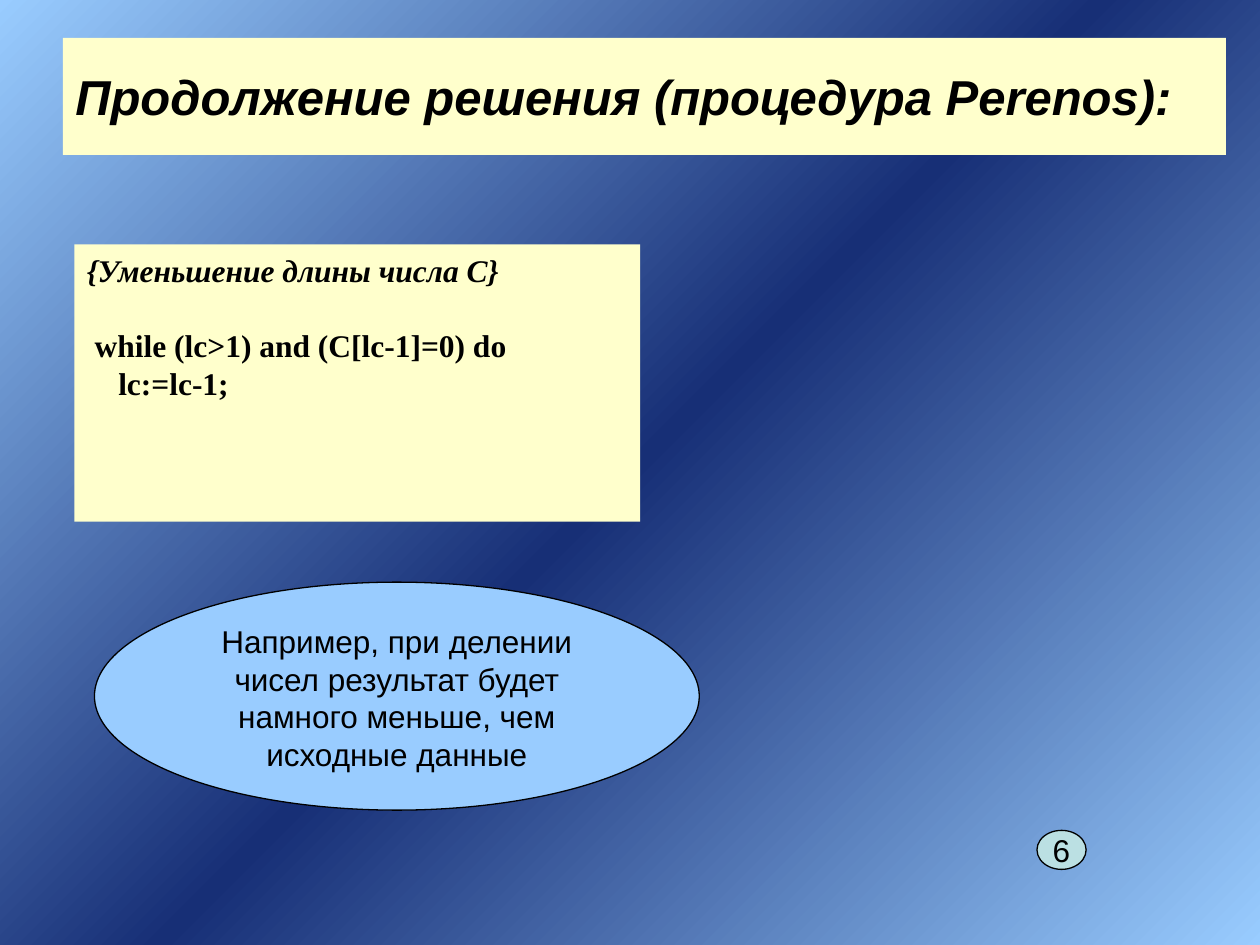
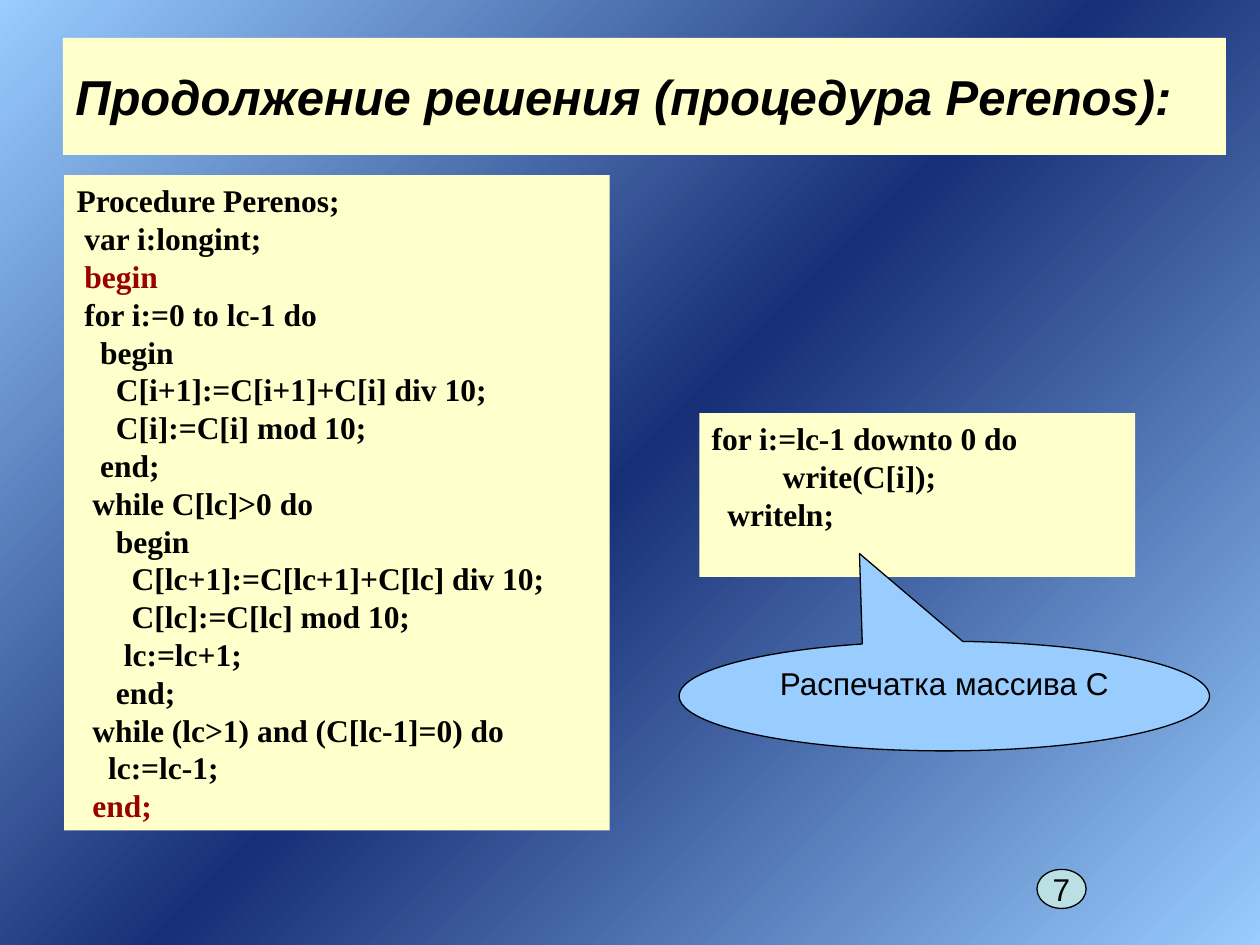
"""Build two slides on the Perenos procedure, with code panels and side remarks."""
from copy import deepcopy
from dataclasses import dataclass

from pptx import Presentation
from pptx.dml.color import RGBColor
from pptx.enum.shapes import MSO_SHAPE
from pptx.enum.text import MSO_ANCHOR, PP_ALIGN
from pptx.oxml.ns import qn
from pptx.util import Inches, Pt

TITLE = "Продолжение решения (процедура Perenos):"
TRIM = [
    (0, "{Уменьшение длины числа С}", "note"),
    (1, "while (lc>1) and (C[lc-1]=0) do", "gap"),
    (4, "lc:=lc-1;", ""),
]
CARRY = [
    (0, "Procedure Perenos;", ""),
    (1, "var i:longint;", ""),
    (1, "begin", "mark"),
    (1, "for i:=0 to lc-1 do", ""),
    (3, "begin", ""),
    (5, "C[i+1]:=C[i+1]+C[i] div 10;", ""),
    (5, "C[i]:=C[i] mod 10;", ""),
    (3, "end;", ""),
    (2, "while C[lc]>0 do", ""),
    (5, "begin", ""),
    (7, "C[lc+1]:=C[lc+1]+C[lc] div 10;", ""),
    (7, "C[lc]:=C[lc] mod 10;", ""),
    (6, "lc:=lc+1;", ""),
    (5, "end;", ""),
    (2, "while (lc>1) and (C[lc-1]=0) do", ""),
    (4, "lc:=lc-1;", ""),
    (2, "end;", "mark"),
]
PRINT = [
    (0, "for i:=lc-1 downto 0 do", ""),
    (9, "write(С[i]);", ""),
    (2, "writeln;", ""),
]
SLIDES = [
    {
        "code": [(TRIM, (5.9, 19.4, 44.9, 22))],
        "remark": ("Например, при делении чисел результат будет намного меньше, чем исходные данные",
                   MSO_SHAPE.OVAL, (7.5, 46.2, 48, 18.1), ()),
        "page": ("6", 65.9),
    },
    {
        "code": [(PRINT, (55.5, 32.8, 34.6, 13)), (CARRY, (5.1, 13.9, 43.3, 52))],
        "remark": ("Распечатка массива С", MSO_SHAPE.OVAL_CALLOUT,
                   (53.9, 50.9, 42.1, 8.7), (-0.16, -1.3)),
        "page": ("7", 69),
    },
]


@dataclass(frozen=True)
class Theme:
    """Colours, fonts and sizes of the deck."""
    sky: str = "99CCFF"
    navy: str = "172F76"
    cream: str = "FFFFCC"
    mint: str = "BBE0E3"
    ink: str = "000000"
    mark: str = "990000"
    sans: str = "Arial"
    serif: str = "Times New Roman"
    head: float = 28
    body: float = 18
    pitch: float = 21.6
    step: float = 4.5
    edge: float = 0.75


LOOK = Theme()
WIDTH, HEIGHT = Inches(10), Inches(7.5)
COLS, ROWS = 100, 75
HEAD = (5, 3, 92.3, 9.3)
BADGE = (82.3, 3.9, 3.1)


def tint(code):
    """Turn a hex code into a colour."""
    return RGBColor.from_string(code)


def place(cell):
    """Turn grid columns and rows into slide lengths."""
    left, top, wide, high = cell
    return (int(left * WIDTH / COLS), int(top * HEIGHT / ROWS),
            int(wide * WIDTH / COLS), int(high * HEIGHT / ROWS))


def panel(slide, kind, cell, fill, edge=False):
    """Add a flat filled shape."""
    shape = slide.shapes.add_shape(kind, *place(cell))
    shape.shadow.inherit = False
    shape.fill.solid()
    shape.fill.fore_color.rgb = tint(fill)
    if edge:
        shape.line.color.rgb = tint(LOOK.ink)
        shape.line.width = Pt(LOOK.edge)
    else:
        shape.line.fill.background()
    shape.text_frame.word_wrap = True
    shape.text_frame.vertical_anchor = MSO_ANCHOR.TOP
    return shape


def style(para, face, size, bold=False, slant=False, color=LOOK.ink):
    """Set the font of every run in a paragraph."""
    for run in para.runs:
        font = run.font
        font.name, font.size = face, Pt(size)
        font.bold, font.italic = bold, slant
        font.color.rgb = tint(color)


def title(slide):
    """Add the title band."""
    frame = panel(slide, MSO_SHAPE.RECTANGLE, HEAD, LOOK.cream).text_frame
    frame.text = TITLE
    frame.vertical_anchor = MSO_ANCHOR.MIDDLE
    frame.paragraphs[0].alignment = PP_ALIGN.LEFT
    style(frame.paragraphs[0], LOOK.sans, LOOK.head, True, True)


def code(slide, lines, cell):
    """Add a panel of indented program lines."""
    frame = panel(slide, MSO_SHAPE.RECTANGLE, cell, LOOK.cream).text_frame
    frame.text = "\n".join(text for _, text, _ in lines)
    for para, (depth, _, role) in zip(frame.paragraphs, lines):
        para.alignment = PP_ALIGN.LEFT
        para.line_spacing = Pt(LOOK.pitch)
        para.space_before = Pt(LOOK.pitch if role == "gap" else 0)
        props = para._p.get_or_add_pPr()
        props.set("marL", str(int(Pt(depth * LOOK.step))))
        props.set("indent", "0")
        color = LOOK.mark if role == "mark" else LOOK.ink
        style(para, LOOK.serif, LOOK.body, True, role == "note", color)


def bubble(slide, text, kind, cell, fill, tail=()):
    """Add an outlined oval with centred text."""
    shape = panel(slide, kind, cell, fill, True)
    for spot, value in enumerate(tail):
        shape.adjustments[spot] = value
    frame = shape.text_frame
    frame.text = text
    para = frame.paragraphs[0]
    para.alignment = PP_ALIGN.CENTER
    para.line_spacing = Pt(LOOK.pitch)
    style(para, LOOK.sans, LOOK.body)
    return frame


def badge(slide, text, top):
    """Add the page number."""
    left, wide, high = BADGE
    frame = bubble(slide, text, MSO_SHAPE.OVAL, (left, top, wide, high), LOOK.mint)
    frame.word_wrap = False
    frame.vertical_anchor = MSO_ANCHOR.MIDDLE


def backdrop(master):
    """Give the master a diagonal gradient."""
    fill = master.background.fill
    fill.gradient()
    fill.gradient_angle = 315
    stops = master.element.find(".//" + qn("a:gsLst"))
    stops.append(deepcopy(stops[-1]))
    shades = (LOOK.sky, LOOK.navy, LOOK.sky)
    for spot, (stop, shade) in enumerate(zip(fill.gradient_stops, shades)):
        stop.position = spot / 2
        stop.color.rgb = tint(shade)


def main():
    """Build and save the deck."""
    deck = Presentation()
    deck.slide_width, deck.slide_height = WIDTH, HEIGHT
    backdrop(deck.slide_master)
    for plan in SLIDES:
        slide = deck.slides.add_slide(deck.slide_layouts[6])
        for lines, cell in plan["code"]:
            code(slide, lines, cell)
        text, kind, cell, tail = plan["remark"]
        bubble(slide, text, kind, cell, LOOK.sky, tail)
        badge(slide, *plan["page"])
        title(slide)
    deck.save("out.pptx")


if __name__ == "__main__":
    main()
